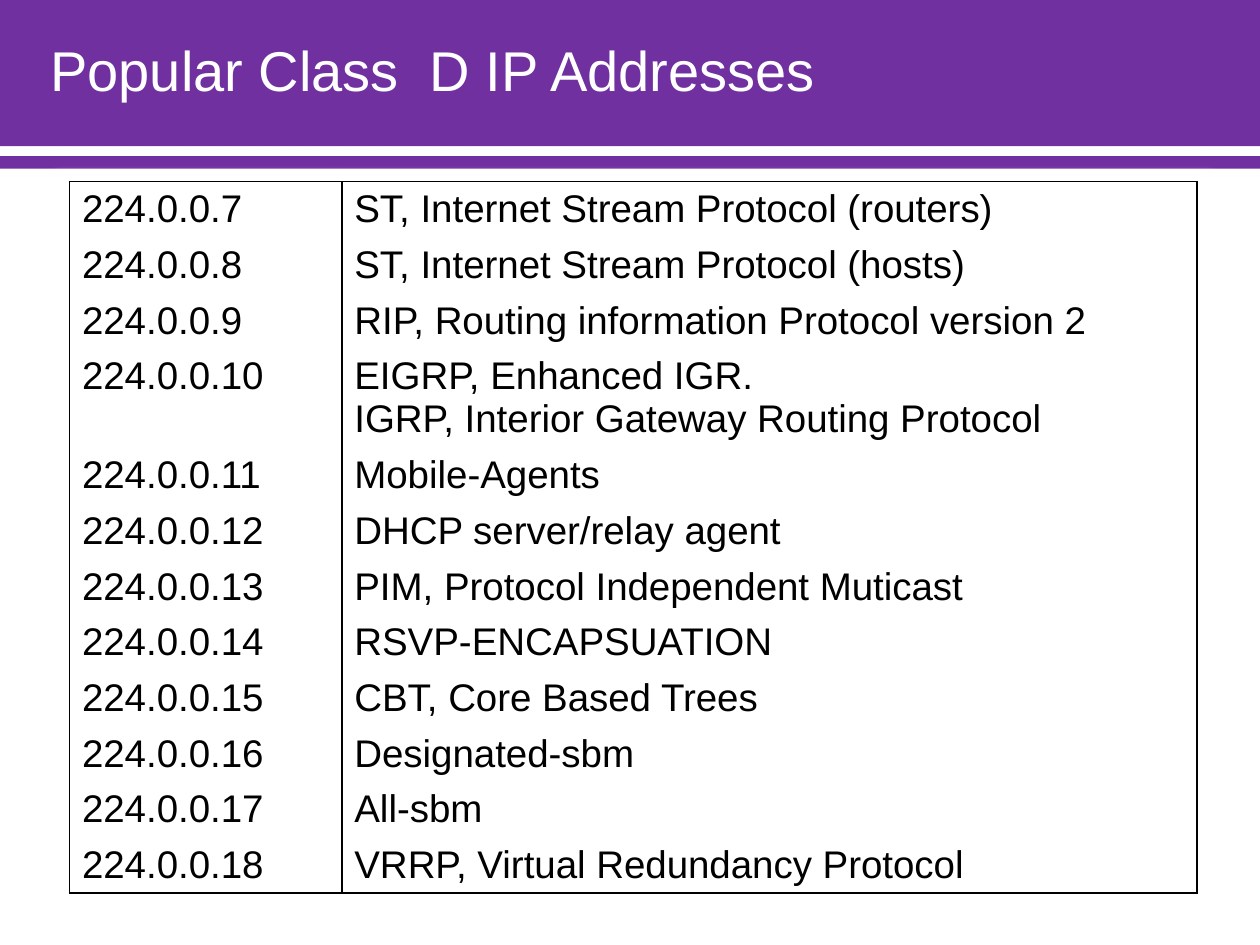
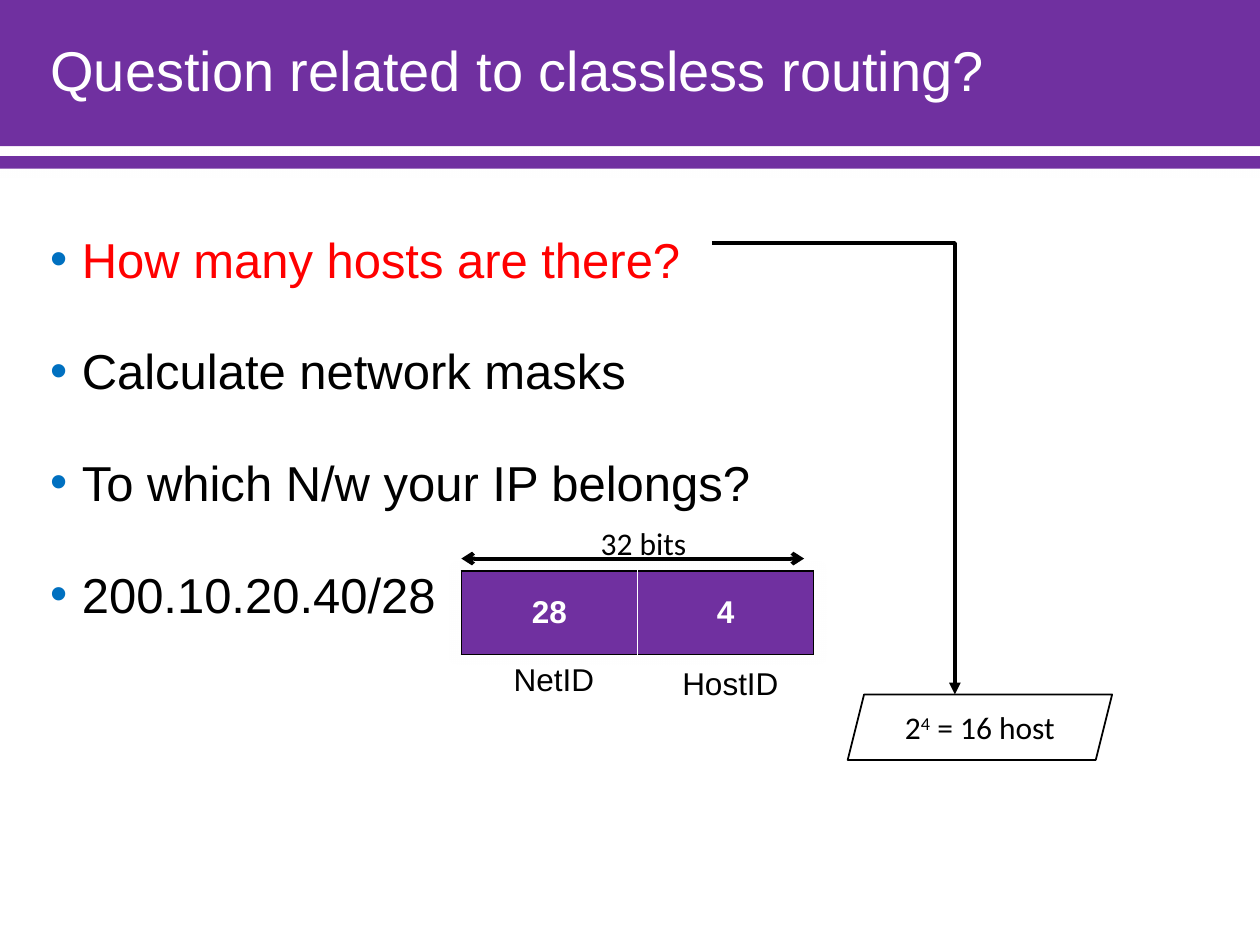
from dataclasses import dataclass

from lxml import etree
from pptx import Presentation
from pptx.dml.color import RGBColor
from pptx.enum.shapes import MSO_CONNECTOR, MSO_SHAPE
from pptx.enum.text import MSO_ANCHOR, MSO_AUTO_SIZE, PP_ALIGN
from pptx.oxml.ns import qn
from pptx.util import Cm, Pt

RECT, SLANT = MSO_SHAPE.RECTANGLE, MSO_SHAPE.PARALLELOGRAM
LINE, ELBOW = MSO_CONNECTOR.STRAIGHT, MSO_CONNECTOR.ELBOW
LEFT, MID, JUST = PP_ALIGN.LEFT, PP_ALIGN.CENTER, PP_ALIGN.JUSTIFY
CENTER, FIXED = MSO_ANCHOR.MIDDLE, MSO_AUTO_SIZE.NONE
TITLE_ONLY = 5
NO_STYLE = "{2D5ABB26-0587-4C30-8999-92F81FD0307C}"


@dataclass(frozen=True)
class Theme:
    band: str = "7030A0"
    ink: str = "000000"
    paper: str = "FFFFFF"
    alert: str = "FF0000"
    dot: str = "0070C0"
    font: str = "Arial"
    note: str = "Calibri"
    head: int = 32
    body: int = 28
    cell: int = 22
    small: int = 18
    thin: float = 1
    thick: float = 2.25


T = Theme()

HOSTS = [
    ("224.0.0.7", "ST, Internet Stream Protocol (routers)"),
    ("224.0.0.8", "ST, Internet Stream Protocol (hosts)"),
    ("224.0.0.9", "RIP, Routing information Protocol version 2"),
    ("224.0.0.10", "EIGRP, Enhanced IGR.\nIGRP, Interior Gateway Routing Protocol"),
    ("224.0.0.11", "Mobile-Agents"),
    ("224.0.0.12", "DHCP server/relay agent"),
    ("224.0.0.13", "PIM, Protocol Independent Muticast"),
    ("224.0.0.14", "RSVP-ENCAPSUATION"),
    ("224.0.0.15", "CBT, Core Based Trees"),
    ("224.0.0.16", "Designated-sbm"),
    ("224.0.0.17", "All-sbm"),
    ("224.0.0.18", "VRRP, Virtual Redundancy Protocol"),
]
ASKS = [
    "How many hosts are there?",
    "Calculate network masks",
    "To which N/w your IP belongs?",
    "200.10.20.40/28",
]


# Basic helpers
def rgb(code):
    return RGBColor.from_string(code)


def cms(*sizes):
    return [Cm(size) for size in sizes]


def node(parent, tag, **attrs):
    child = etree.SubElement(parent, qn(tag))
    for key, value in attrs.items():
        child.set(key, str(value))
    return child


def tint(parent, code):
    fill = node(parent, "a:solidFill")
    return node(fill, "a:srgbClr", val=code)


def write(para, text, size=T.small, font=T.font, color=T.ink, bold=False,
          align=LEFT, line=None, gap=0, sup=False):
    """Append text to a paragraph; a newline becomes a line break."""
    para.alignment = align
    if line:
        para.line_spacing = line
    if gap:
        para.space_before = Pt(gap)
    for i, part in enumerate(text.split("\n")):
        if i:
            para.add_line_break()
        run = para.add_run()
        run.text = part
        face = run.font
        face.size, face.name, face.bold = Pt(size), font, bold
        face.color.rgb = rgb(color)
        if sup:
            run._r.get_or_add_rPr().set("baseline", "30000")


def shade(props, blur, dist=0, angle=0, scale=100):
    """Build a soft shadow as the last effect of the given properties."""
    effects = node(props, "a:effectLst")
    soft = node(effects, "a:outerShdw", blurRad=Pt(blur), dist=Pt(dist),
                dir=angle * 60000, sx=scale * 1000, sy=scale * 1000,
                algn="ctr", rotWithShape=0)
    node(tint(soft, T.ink), "a:alpha", val=40000)
    return effects


def label(slide, box, text, **fmt):
    frame = slide.shapes.add_textbox(*cms(*box)).text_frame
    frame.word_wrap = True
    write(frame.paragraphs[0], text, **fmt)


def wire(slide, kind, ends, head=None, tail=None):
    link = slide.shapes.add_connector(kind, *cms(*ends))
    link.line.color.rgb, link.line.width = rgb(T.ink), Pt(T.thick)
    line = link.line._get_or_add_ln()
    for tag, tip in (("a:headEnd", head), ("a:tailEnd", tail)):
        if tip:
            node(line, tag, type=tip)
    node(link._element.spPr, "a:effectLst")
    return link


# Tables
def edge(cell, **sides):
    props = cell._tc.get_or_add_tcPr()
    for i, side in enumerate(s for s in "LRTB" if s in sides):
        line = etree.Element(qn("a:ln" + side), w=str(Pt(T.thin)))
        tint(line, sides[side])
        props.insert(i, line)


def grid(slide, box, cols, rows, inner, fill=None, anchor=None, **fmt):
    left, top, width, height = box
    frame = slide.shapes.add_table(len(rows), len(cols), *cms(*box))
    table = frame.table
    props = table._tbl.tblPr
    props.find(qn("a:tableStyleId")).text = NO_STYLE
    props.insert(0, shade(props, 5, scale=102))
    table.first_row = table.horz_banding = False
    for col, size in zip(table.columns, cols):
        col.width = Cm(size)
    last, end = len(rows) - 1, len(cols) - 1
    for r, row in enumerate(rows):
        table.rows[r].height = Cm(height / len(rows))
        for c, text in enumerate(row):
            cell = table.cell(r, c)
            if fill:
                cell.fill.solid()
                cell.fill.fore_color.rgb = rgb(fill)
            else:
                cell.fill.background()
            if anchor:
                cell.vertical_anchor = anchor
            write(cell.text_frame.paragraphs[0], text, **fmt)
            sides = {"L": inner if c else T.ink,
                     "R": inner if c < end else T.ink}
            if r == 0:
                sides["T"] = T.ink
            if r == last:
                sides["B"] = T.ink
            edge(cell, **sides)


# Shared frame: two bands and the title
def start(deck, text):
    slide = deck.slides.add_slide(deck.slide_layouts[TITLE_ONLY])
    title = slide.shapes.title
    for top, tall, cast in ((0, 2.95, (4, 3, 90)), (3.15, 0.25, (5,))):
        band = slide.shapes.add_shape(RECT, *cms(0, top, 25.4, tall))
        band.fill.solid()
        band.fill.fore_color.rgb = rgb(T.band)
        band.line.fill.background()
        shade(band._element.spPr, *cast)
    slide.shapes._spTree.append(title._element)
    title.left, title.top, title.width, title.height = cms(0.76, 0, 24.03, 2.95)
    frame = title.text_frame
    frame.auto_size, frame.vertical_anchor = FIXED, CENTER
    write(frame.paragraphs[0], text, size=T.head, color=T.paper, line=0.9)
    return slide


# Bulleted questions, the first one highlighted
def asks(slide, box):
    frame = slide.shapes.add_textbox(*cms(*box)).text_frame
    frame.word_wrap = True
    for i, text in enumerate(ASKS):
        para = frame.add_paragraph() if i else frame.paragraphs[0]
        props = para._p.get_or_add_pPr()
        props.set("marL", str(Cm(0.64)))
        props.set("indent", str(-Cm(0.64)))
        node(node(props, "a:buClr"), "a:srgbClr", val=T.dot)
        node(props, "a:buFont", typeface=T.font)
        node(props, "a:buChar", char="•")
        write(para, text, size=T.body, color=T.ink if i else T.alert,
              align=JUST, line=1.5, gap=13.4 if i else 0)


# Address split into network and host bits
def split(slide, box):
    left, top, width, height = box
    half = width / 2
    grid(slide, box, [half, half], [("28", "4")], T.paper, fill=T.band,
         anchor=CENTER, color=T.paper, bold=True, align=MID)
    wire(slide, LINE, (left, top - 0.25, left + 6.91, top - 0.25),
         "arrow", "arrow")
    label(slide, (left + 2.56, top - 1.07, 2.54, 1.02), "32 bits", font=T.note)
    low = top + height
    label(slide, (left + 0.2, low, 3.33, 1.02), "NetID", align=MID)
    label(slide, (left + 3.76, low + 0.08, 3.33, 1.02), "HostID", align=MID)


# Host count, with the path that leads to it from the question
def count(slide, box, origin):
    left, top, width, height = box
    shape = slide.shapes.add_shape(SLANT, *cms(*box))
    shape.shadow.inherit = False
    shape.fill.background()
    shape.line.color.rgb, shape.line.width = rgb(T.ink), Pt(T.thin)
    frame = shape.text_frame
    frame.vertical_anchor = CENTER
    para = frame.paragraphs[0]
    for text, sup in (("2", False), ("4", True), (" = 16 host", False)):
        write(para, text, font=T.note, align=MID, sup=sup)

    # A quarter turn makes the elbow run right, then down
    x, y = origin
    run, drop = left + 2.16 - x, top - y
    midx, midy = x + run / 2, y + drop / 2
    link = wire(slide, ELBOW, (midx + drop / 2, midy - run / 2,
                               midx - drop / 2, midy + run / 2),
                tail="triangle")
    props = link._element.spPr
    props.find(qn("a:xfrm")).set("rot", str(270 * 60000))
    geom = props.find(qn("a:prstGeom"))
    for old in list(geom):
        geom.remove(old)
    node(node(geom, "a:avLst"), "a:gd", name="adj1", fmla="val 0")


def main():
    deck = Presentation()
    deck.slide_width, deck.slide_height = cms(25.4, 19.05)

    slide = start(deck, "Popular Class  D IP Addresses")
    grid(slide, (1.4, 3.66, 22.73, 12.5), [5.49, 17.24], HOSTS, T.ink,
         size=T.cell)

    slide = start(deck, "Question related to classless routing?")
    asks(slide, (0.76, 3.9, 24.03, 13.87))
    split(slide, (9.3, 11.51, 7.1, 1.68))
    count(slide, (17.09, 14, 5.33, 1.32), (14.35, 4.9))

    deck.save("out.pptx")


if __name__ == "__main__":
    main()
